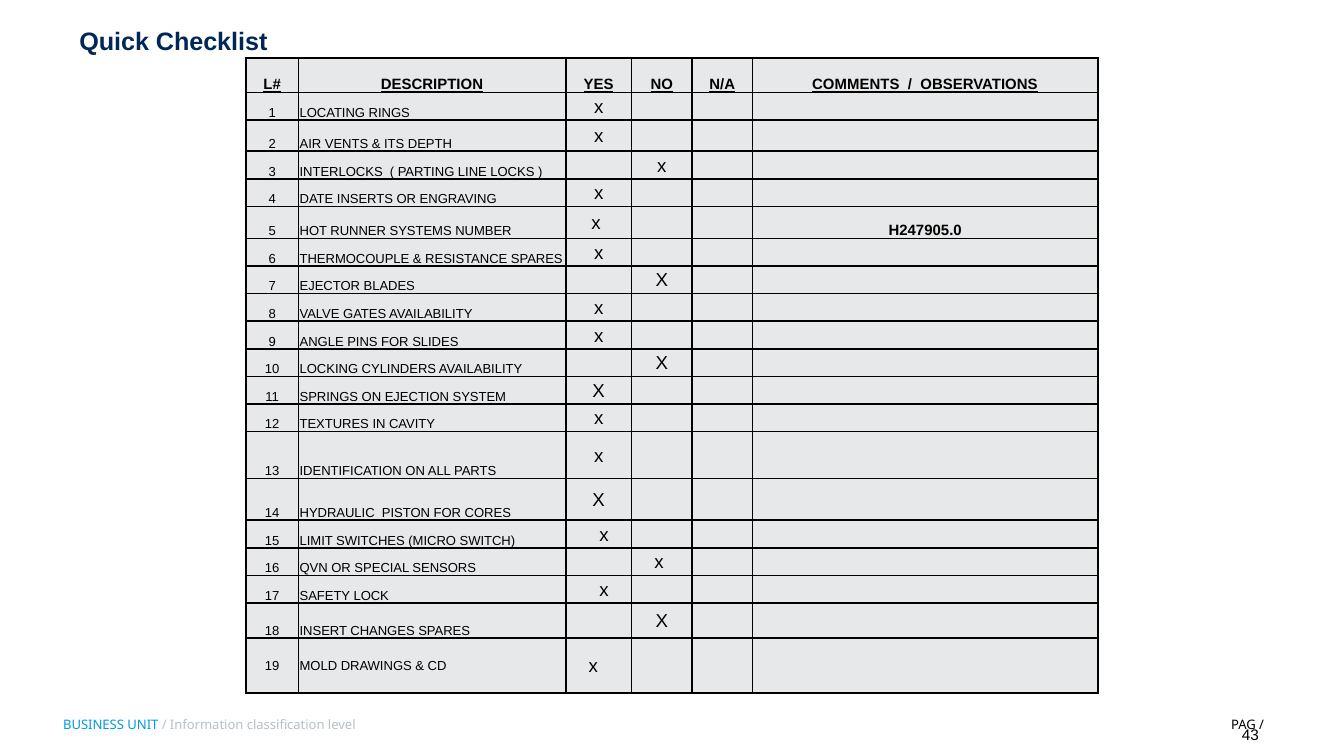
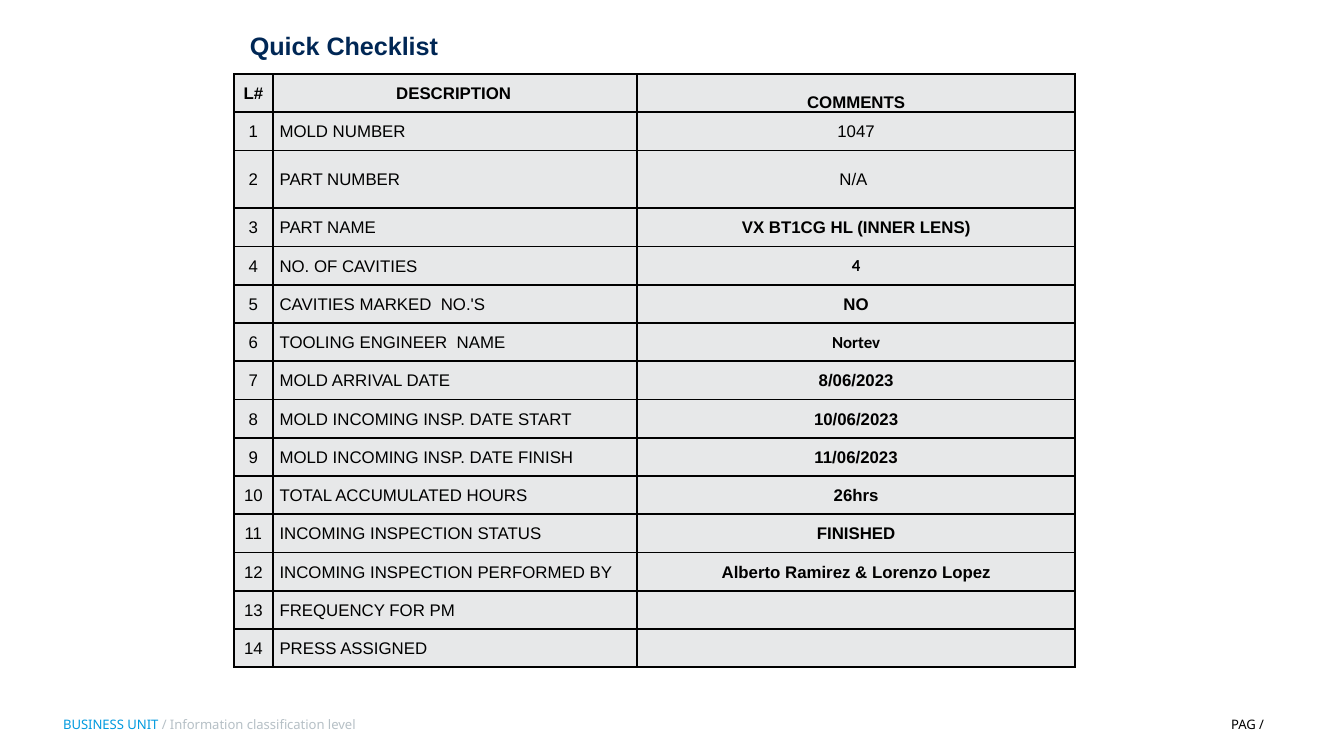
from dataclasses import dataclass, field

from lxml import etree
from pptx import Presentation
from pptx.dml.color import RGBColor
from pptx.enum.text import MSO_ANCHOR, PP_ALIGN
from pptx.oxml.ns import qn
from pptx.slide import Slide
from pptx.table import _Cell
from pptx.text.text import _Paragraph
from pptx.util import Inches, Pt

LEFT, CENTER, RIGHT = PP_ALIGN.LEFT, PP_ALIGN.CENTER, PP_ALIGN.RIGHT
TOP, MIDDLE, BOTTOM = MSO_ANCHOR.TOP, MSO_ANCHOR.MIDDLE, MSO_ANCHOR.BOTTOM

COLORS = {
    "title": "002755",
    "unit": "009ADF",
    "classification": "B6C0C6",
    "text": "000000",
    "border": "000000",
    "cell": "E7E8E9",
}
SLIDE_WIDTH = Inches(10)
SLIDE_HEIGHT = SLIDE_WIDTH * 9 // 16
BODY_FONT = "Arial"
FOOTER_FONT = "Noto Sans"
COMMENT_FONT = "Calibri"
CELL_MARGIN = 0.01
BORDER_WIDTH = Pt(1)


@dataclass
class Content:
    """Text and format of one table cell; nudge moves centred text sideways."""
    text: str = ""
    align: PP_ALIGN = CENTER
    anchor: MSO_ANCHOR = MIDDLE
    size: float = 7
    bold: bool = False
    underline: bool = False
    font: str = BODY_FONT
    nudge: float = 0


@dataclass
class ChecklistItem:
    description: str
    answer: str
    mark: str = "x"
    nudge: float = 0
    comment: str = ""


@dataclass
class MoldFact:
    description: str
    comment: str = ""
    bold: bool = True
    font: str = BODY_FONT
    nudge: float = 0


@dataclass
class Grid:
    """A table whose rows share the height left over by the special rows."""
    left: float
    top: float
    height: float
    columns: list[float]
    rows: list[list[Content]]
    special_heights: dict[int, float] = field(default_factory=dict)

    def row_heights(self) -> list[float]:
        remaining = self.height - sum(self.special_heights.values())
        regular = remaining / (len(self.rows) - len(self.special_heights))
        return [self.special_heights.get(index, regular) for index in range(len(self.rows))]


ANSWERS = ["YES", "NO", "N/A"]
CHECKLIST = [
    ChecklistItem("LOCATING RINGS", "YES"),
    ChecklistItem("AIR VENTS & ITS DEPTH", "YES"),
    ChecklistItem("INTERLOCKS  ( PARTING LINE LOCKS )", "NO"),
    ChecklistItem("DATE INSERTS OR ENGRAVING", "YES"),
    ChecklistItem("HOT RUNNER SYSTEMS NUMBER", "YES", nudge=-0.02, comment="H247905.0"),
    ChecklistItem("THERMOCOUPLE & RESISTANCE SPARES", "YES"),
    ChecklistItem("EJECTOR BLADES", "NO", "X"),
    ChecklistItem("VALVE GATES AVAILABILITY", "YES"),
    ChecklistItem("ANGLE PINS FOR SLIDES", "YES"),
    ChecklistItem("LOCKING CYLINDERS AVAILABILITY", "NO", "X"),
    ChecklistItem("SPRINGS ON EJECTION SYSTEM", "YES", "X"),
    ChecklistItem("TEXTURES IN CAVITY", "YES"),
    ChecklistItem("IDENTIFICATION ON ALL PARTS", "YES"),
    ChecklistItem("HYDRAULIC  PISTON FOR CORES", "YES", "X"),
    ChecklistItem("LIMIT SWITCHES (MICRO SWITCH)", "YES", nudge=0.04),
    ChecklistItem("QVN OR SPECIAL SENSORS", "NO", nudge=-0.02),
    ChecklistItem("SAFETY LOCK", "YES", nudge=0.04),
    ChecklistItem("INSERT CHANGES SPARES", "NO", "X"),
    ChecklistItem("MOLD DRAWINGS & CD", "YES", nudge=-0.04),
]
MOLD_FACTS = [
    MoldFact("MOLD NUMBER", "1047", bold=False),
    MoldFact("PART NUMBER", "N/A", bold=False, nudge=-0.02),
    MoldFact("PART NAME", "VX BT1CG HL (INNER LENS)"),
    MoldFact("NO. OF CAVITIES", "4", font=COMMENT_FONT),
    MoldFact("CAVITIES MARKED  NO.'S", "NO"),
    MoldFact("TOOLING ENGINEER  NAME", "Nortev", font=COMMENT_FONT),
    MoldFact("MOLD ARRIVAL DATE", "8/06/2023"),
    MoldFact("MOLD INCOMING INSP. DATE START", "10/06/2023"),
    MoldFact("MOLD INCOMING INSP. DATE FINISH", "11/06/2023"),
    MoldFact("TOTAL ACCUMULATED HOURS", "26hrs"),
    MoldFact("INCOMING INSPECTION STATUS", "FINISHED"),
    MoldFact("INCOMING INSPECTION PERFORMED BY", "Alberto Ramirez & Lorenzo Lopez"),
    MoldFact("FREQUENCY FOR PM"),
    MoldFact("PRESS ASSIGNED"),
]


def add_text(paragraph: _Paragraph, text: str, *, size: float, color: str = "text",
             font: str = BODY_FONT, bold: bool = False, underline: bool = False,
             align: PP_ALIGN = LEFT) -> None:
    paragraph.alignment = align
    run = paragraph.add_run()
    run.text = text
    run.font.name = font
    run.font.size = Pt(size)
    run.font.bold = bold
    run.font.underline = underline
    run.font.color.rgb = RGBColor.from_string(COLORS[color])


def add_box(slide: Slide, left: float, top: float, width: float, height: float,
            anchor: MSO_ANCHOR = TOP) -> _Paragraph:
    """Add a text box without insets and return its paragraph."""
    shape = slide.shapes.add_textbox(Inches(left), Inches(top), Inches(width), Inches(height))
    frame = shape.text_frame
    frame.word_wrap = True
    frame.vertical_anchor = anchor
    frame.margin_left = frame.margin_right = frame.margin_top = frame.margin_bottom = 0
    return frame.paragraphs[0]


def add_footer(slide: Slide) -> None:
    unit = add_box(slide, 0.47, 5.33, 5.09, 0.16)
    add_text(unit, "BUSINESS UNIT ", size=7, font=FOOTER_FONT, color="unit")
    add_text(unit, "/ Information classification level", size=7, font=FOOTER_FONT,
             color="classification")
    page = add_box(slide, 8.87, 5.33, 0.56, 0.14)
    add_text(page, "PAG / ", size=7, font=FOOTER_FONT, align=RIGHT)


def add_title(slide: Slide, left: float, top: float, width: float) -> None:
    title = add_box(slide, left, top, width, 0.26, MIDDLE)
    title.line_spacing = Pt(16.5)
    add_text(title, "Quick Checklist", size=13.5, color="title", bold=True)


def set_borders(cell: _Cell) -> None:
    properties = cell._tc.get_or_add_tcPr()
    for index, side in enumerate(("lnL", "lnR", "lnT", "lnB")):
        line = etree.Element(qn(f"a:{side}"), w=str(BORDER_WIDTH))
        fill = etree.SubElement(line, qn("a:solidFill"))
        etree.SubElement(fill, qn("a:srgbClr"), val=COLORS["border"])
        properties.insert(index, line)


def fill_cell(cell: _Cell, content: Content) -> None:
    cell.fill.solid()
    cell.fill.fore_color.rgb = RGBColor.from_string(COLORS["cell"])
    set_borders(cell)
    cell.vertical_anchor = content.anchor
    cell.margin_left = Inches(CELL_MARGIN + 2 * max(content.nudge, 0))
    cell.margin_right = Inches(CELL_MARGIN + 2 * max(-content.nudge, 0))
    cell.margin_top = Inches(CELL_MARGIN)
    cell.margin_bottom = 0
    paragraph = cell.text_frame.paragraphs[0]
    if content.text:
        add_text(paragraph, content.text, size=content.size, font=content.font,
                 bold=content.bold, underline=content.underline, align=content.align)
    else:
        # Keeps an empty cell from stretching its row.
        etree.SubElement(paragraph._p, qn("a:endParaRPr"), sz=str(int(content.size * 100)))


def add_grid(slide: Slide, grid: Grid) -> None:
    shape = slide.shapes.add_table(
        len(grid.rows), len(grid.columns), Inches(grid.left), Inches(grid.top),
        Inches(sum(grid.columns)), Inches(grid.height))
    table = shape.table
    table.first_row = table.horz_banding = False
    for column, width in zip(table.columns, grid.columns):
        column.width = Inches(width)
    for row, height, contents in zip(table.rows, grid.row_heights(), grid.rows):
        row.height = Inches(height)
        for cell, content in zip(row.cells, contents):
            fill_cell(cell, content)


def checklist_rows() -> list[list[Content]]:
    headings = ["L#", "DESCRIPTION", *ANSWERS, "COMMENTS  /  OBSERVATIONS"]
    rows = [[Content(text, anchor=BOTTOM, size=8, bold=True, underline=True)
             for text in headings]]
    for number, item in enumerate(CHECKLIST, start=1):
        anchor = MIDDLE if number == len(CHECKLIST) else BOTTOM
        marks = [Content(item.mark, size=10, nudge=item.nudge) if answer == item.answer
                 else Content() for answer in ANSWERS]
        rows.append([
            Content(str(number), anchor=anchor),
            Content(item.description, LEFT, anchor),
            *marks,
            Content(item.comment, anchor=BOTTOM, size=8, bold=True),
        ])
    return rows


def mold_rows() -> list[list[Content]]:
    rows = [[
        Content("L#", size=9, bold=True),
        Content("DESCRIPTION", size=9, bold=True, nudge=-0.01),
        Content("COMMENTS", anchor=BOTTOM, size=9, bold=True),
    ]]
    for number, fact in enumerate(MOLD_FACTS, start=1):
        rows.append([
            Content(str(number), size=9),
            Content(fact.description, LEFT, size=9, nudge=0.02),
            Content(fact.comment, size=9, bold=fact.bold, font=fact.font, nudge=fact.nudge),
        ])
    return rows


def build_checklist(slide: Slide) -> None:
    add_footer(slide)
    add_title(slide, 0.59, 0.17, 6.62)
    add_text(add_box(slide, 9.24, 5.4, 0.35, 0.16), "43", size=8.2)
    add_grid(slide, Grid(
        1.83, 0.43, 4.73, [0.39, 1.99, 0.49, 0.45, 0.45, 2.57], checklist_rows(),
        {0: 0.26, 2: 0.23, 5: 0.24, 13: 0.35, 14: 0.31, 18: 0.26, 19: 0.41}))


def build_mold_facts(slide: Slide) -> None:
    add_footer(slide)
    add_title(slide, 1.86, 0.21, 4.97)
    add_grid(slide, Grid(1.74, 0.55, 4.42, [0.29, 2.71, 3.26], mold_rows(), {2: 0.43}))


def main() -> None:
    presentation = Presentation()
    presentation.slide_width = SLIDE_WIDTH
    presentation.slide_height = SLIDE_HEIGHT
    blank = presentation.slide_layouts[6]
    for build in (build_checklist, build_mold_facts):
        build(presentation.slides.add_slide(blank))
    presentation.save("out.pptx")


if __name__ == "__main__":
    main()
